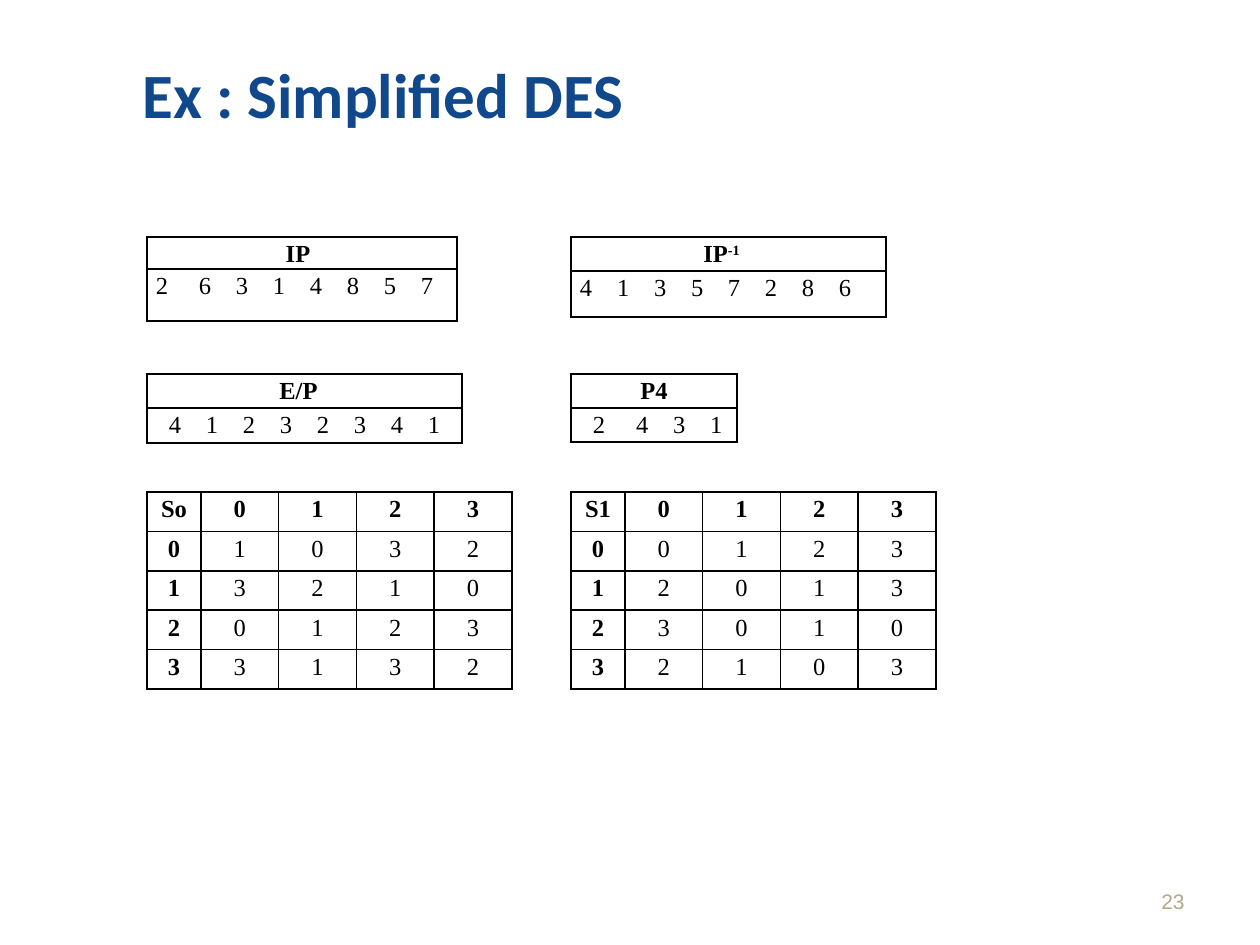
from lxml import etree
from pptx import Presentation
from pptx import util as u
from pptx.dml.color import RGBColor
from pptx.enum import text
from pptx.oxml import ns

BLACK = RGBColor(0, 0, 0)
BLUE = RGBColor(0x11, 0x47, 0x8B)
TAN = RGBColor(0xB5, 0xA7, 0x88)
SCALE = 914400 / 126
LEFT, RIGHT = 147, 571
STEP = 37
MID = text.PP_ALIGN.CENTER


def px(n):
    return u.Emu(round(n * SCALE))


class Deck:
    face = "Times New Roman"
    size = 14
    inset = 9

    def __init__(self):
        self.prs = Presentation()
        self.prs.slide_width, self.prs.slide_height = px(1260), px(945)
        self.slide = self.prs.slides.add_slide(self.prs.slide_layouts[5])

    def font(self, par, face, size, color, bold=False):
        par.font.name = face
        par.font.size = u.Pt(size)
        par.font.color.rgb = color
        par.font.bold = bold

    def title(self, words, x, y, w, h):
        box = self.slide.shapes.title
        box.left, box.top, box.width, box.height = map(px, (x, y, w, h))
        frame = box.text_frame
        frame.text = words
        frame.vertical_anchor = text.MSO_ANCHOR.MIDDLE
        par = frame.paragraphs[0]
        par.alignment = MID
        self.font(par, "Calibri", 36, BLUE, True)

    def number(self, words, x, y, w, h):
        frame = self.slide.shapes.add_textbox(*map(px, (x, y, w, h))).text_frame
        frame.word_wrap = True
        frame.text = words
        frame.vertical_anchor = text.MSO_ANCHOR.MIDDLE
        par = frame.paragraphs[0]
        par.alignment = text.PP_ALIGN.RIGHT
        self.font(par, "Arial", 12, TAN)

    def border(self, cell):
        props = cell._tc.get_or_add_tcPr()
        for i, side in enumerate(("lnL", "lnR", "lnT", "lnB")):
            line = etree.Element(ns.qn("a:" + side), w=str(u.Pt(1)))
            fill = etree.SubElement(line, ns.qn("a:solidFill"))
            etree.SubElement(fill, ns.qn("a:srgbClr"), val=str(BLACK))
            props.insert(i, line)

    def cell(self, cell, words, bold, align=MID, tabs=(), left=0, right=0):
        cell.fill.background()
        self.border(cell)
        cell.margin_left, cell.margin_right = px(self.inset + left), px(self.inset + right)
        cell.margin_top = cell.margin_bottom = 0
        par = cell.text_frame.paragraphs[0]
        par.text = words
        par.alignment = align
        par.line_spacing = 1.15
        if tabs:
            stops = etree.SubElement(par._p.get_or_add_pPr(), ns.qn("a:tabLst"))
            for stop in tabs:
                etree.SubElement(stops, ns.qn("a:tab"), pos=str(px(stop)), algn="l")
        self.font(par, self.face, self.size, BLACK, bold)
        return par

    def table(self, x, y, cols, rows):
        shape = self.slide.shapes.add_table(
            len(rows), len(cols), px(x), px(y), px(sum(cols)), px(sum(rows)))
        table = shape.table
        table.first_row = table.horz_banding = False
        for col, w in zip(table.columns, cols):
            col.width = px(w)
        for row, h in zip(table.rows, rows):
            row.height = px(h)
        return table

    def order(self, x, y, w, rows, name, digits, skew=0, left=0, first=STEP, power=""):
        table = self.table(x, y, [w], rows)
        head = self.cell(table.cell(0, 0), name, True, right=skew)
        if power:
            run = head.add_run()
            run.text = power
            run._r.get_or_add_rPr().set("baseline", "30000")
        tabs = [first + STEP * i for i in range(len(digits) - 1)]
        self.cell(table.cell(1, 0), "\t".join(digits), False,
                  text.PP_ALIGN.LEFT, tabs, left)

    def box(self, x, y, name, rows):
        table = self.table(x, y, [54] + [77.75] * 4, [39.4] * 5)
        grid = [name, *"0123"], *([str(i), *row] for i, row in enumerate(rows))
        for r, row in enumerate(grid):
            for c, value in enumerate(row):
                self.cell(table.cell(r, c), value, r == 0 or c == 0)


def main():
    deck = Deck()
    deck.title("Ex : Simplified DES", 78, 29, 610, 129)
    deck.order(LEFT, 237, 310, [32, 52], "IP", "26314857", skew=8, first=43)
    deck.order(RIGHT, 237, 315, [34, 46], "IP", "41357286", skew=14, power="-1")
    deck.order(LEFT, 374, 315, [34, 35], "E/P", "41232341", skew=12, left=13)
    deck.order(RIGHT, 374, 166, [34, 34], "P4", "2431", left=13, first=43)
    deck.box(LEFT, 492, "So", ["1032", "3210", "0123", "3132"])
    deck.box(RIGHT, 492, "S1", ["0123", "2013", "3010", "2103"])
    deck.number("23", 903, 876, 294, 50)
    deck.prs.save("out.pptx")


if __name__ == "__main__":
    main()
